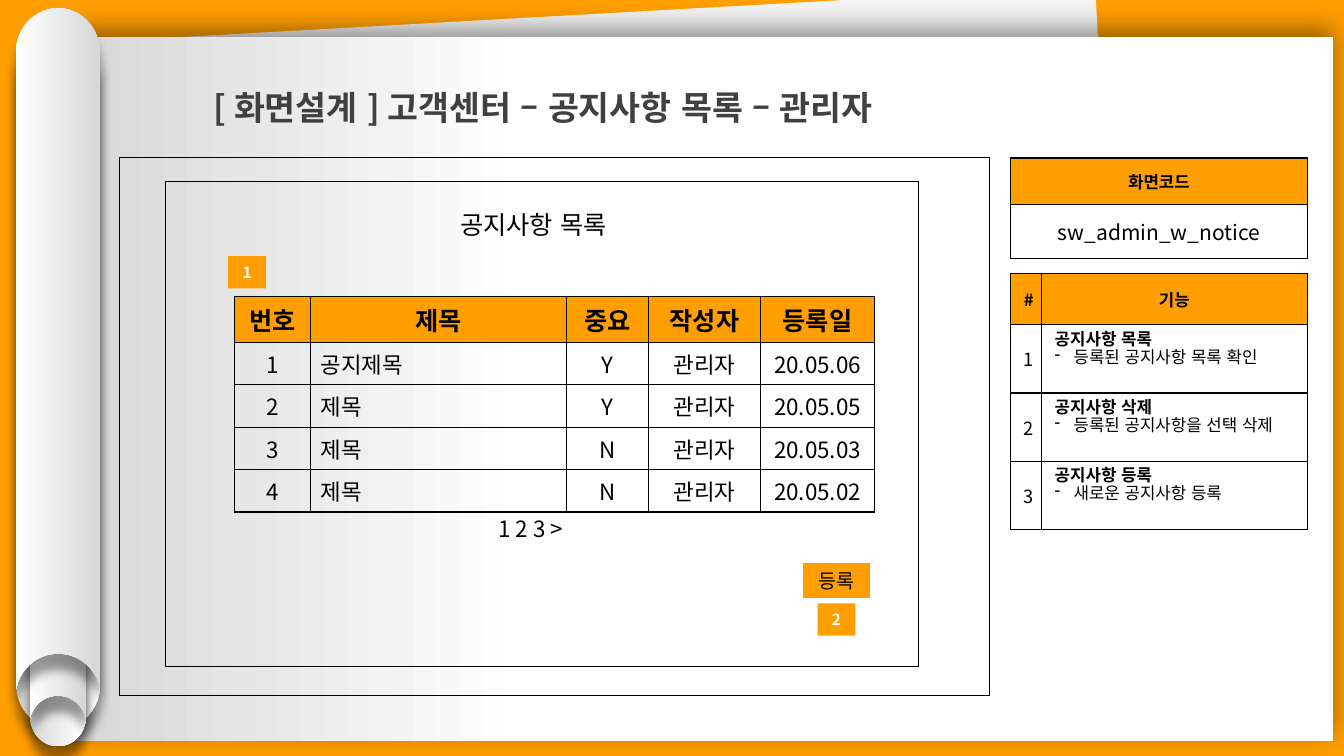
"""Builds the screen design slide for the administrator's notice list."""
from lxml import etree
from pptx import Presentation
from pptx.dml.color import RGBColor
from pptx.enum import lang, shapes, text
from pptx.oxml.ns import qn
from pptx.util import Pt

FONT = "Noto Sans CJK KR"
ORANGE = RGBColor(0xFF, 0x9E, 0x00)
BLACK = RGBColor(0x00, 0x00, 0x00)
WHITE = RGBColor(0xFF, 0xFF, 0xFF)
PAPER = RGBColor(0xF2, 0xF2, 0xF2)
SHADE = RGBColor(0xD7, 0xD7, 0xD7)
TITLE_GREY = RGBColor(0x40, 0x40, 0x40)
LEFT, CENTER = text.PP_ALIGN.LEFT, text.PP_ALIGN.CENTER
TOP, MIDDLE = text.MSO_ANCHOR.TOP, text.MSO_ANCHOR.MIDDLE


def write_text(paragraph, words, size=16, bold=False, color=BLACK, align=CENTER,
               spacing=None, bullet=None):
    """Write one formatted run into a paragraph."""
    paragraph.alignment = align
    if spacing:
        paragraph.line_spacing = spacing
    if bullet:
        properties = paragraph._p.get_or_add_pPr()
        properties.set("marL", str(Pt(13.5)))
        properties.set("indent", str(Pt(-13.5)))
        etree.SubElement(properties, qn("a:buChar"), char=bullet)
    run = paragraph.add_run()
    run.text = words
    run.font.name = FONT
    run.font.size = Pt(size)
    run.font.bold = bold
    run.font.color.rgb = color
    run.font.language_id = lang.MSO_LANGUAGE_ID.KOREAN
    etree.SubElement(run._r.get_or_add_rPr(), qn("a:ea"), typeface=FONT)


def add_shadow(shape, blur, distance, direction):
    """Give a shape a soft black shadow."""
    shape.shadow.inherit = False
    effects = shape._element.spPr.find(qn("a:effectLst"))
    shadow = etree.SubElement(
        effects, qn("a:outerShdw"), blurRad=str(Pt(blur)), dist=str(Pt(distance)),
        dir=str(direction * 60000), algn="ctr", rotWithShape="0")
    color = etree.SubElement(shadow, qn("a:srgbClr"), val="000000")
    etree.SubElement(color, qn("a:alpha"), val="40000")


def fill_gradient(shape, stops):
    """Fill a shape with two colours running from right to left."""
    shape.fill.gradient()
    shape.fill.gradient_angle = 180
    for stop, (position, color) in zip(shape.fill.gradient_stops, stops):
        stop.position = position
        stop.color.rgb = color


def add_rectangle(slide, box, fill=None, line=None, width=1):
    """Add a plain rectangle with an optional fill and outline."""
    shape = slide.shapes.add_shape(shapes.MSO_SHAPE.RECTANGLE, *map(Pt, box))
    shape.shadow.inherit = False
    if fill is None:
        shape.fill.background()
    else:
        shape.fill.solid()
        shape.fill.fore_color.rgb = fill
    if line is None:
        shape.line.fill.background()
    else:
        shape.line.color.rgb = line
        shape.line.width = Pt(width)
    return shape


def add_label(slide, box, words, line=None, **style):
    """Add an orange rectangle with centred text."""
    shape = add_rectangle(slide, box, ORANGE, line)
    shape.text_frame.vertical_anchor = MIDDLE
    write_text(shape.text_frame.paragraphs[0], words, **style)


def add_text_box(slide, box, words, **style):
    """Add a wrapping text box with one line."""
    frame = slide.shapes.add_textbox(*map(Pt, box)).text_frame
    frame.word_wrap = True
    write_text(frame.paragraphs[0], words, **style)


def bend_lines(shape, curve_starts):
    """Turn each run of three lines at the given places into one curve."""
    outline = next(shape._element.iter(qn("a:path")))
    lines = outline.findall(qn("a:lnTo"))
    for start in curve_starts:
        curve = etree.Element(qn("a:cubicBezTo"))
        lines[start].addprevious(curve)
        for line in lines[start:start + 3]:
            curve.append(line[0])
            outline.remove(line)


def add_roll(slide, left, top, width, height, rotation=0):
    """Add a paper roll with a domed end and a hollow end."""
    radius = width / 2
    center, bottom = left + radius, top + height
    dome = [(0.55, 0), (1, 0.47), (1, 1.05)]
    hollow = [(0.95, -0.17), (0.79, -0.57), (0.43, -0.83)]
    right = ([(x, top + y * radius) for x, y in dome] + [(1, bottom)]
             + [(x, bottom + y * radius) for x, y in hollow])
    mirrored = [(-x, y) for x, y in reversed(right)]
    profile = right + [(0, bottom - 0.83 * radius)] + mirrored + [(0, top)]
    builder = slide.shapes.build_freeform(Pt(center), Pt(top))
    builder.add_line_segments([(Pt(center + x * radius), Pt(y)) for x, y in profile])
    roll = builder.convert_to_shape()
    bend_lines(roll, (0, 5, 8, 13))
    outline = next(roll._element.iter(qn("a:path")))
    etree.SubElement(outline, qn("a:close"))
    roll.rotation = rotation
    roll.line.fill.background()
    fill_gradient(roll, [(0, SHADE), (1, WHITE)])
    add_shadow(roll, 7, 11, 90)


def format_cell(cell, fill, anchor, margins):
    """Set the borders, fill, anchor and margins of a cell."""
    properties = cell._tc.get_or_add_tcPr()
    for side in ("lnL", "lnR", "lnT", "lnB"):
        border = etree.SubElement(properties, qn("a:" + side), w=str(Pt(1)))
        color = etree.SubElement(border, qn("a:solidFill"))
        etree.SubElement(color, qn("a:srgbClr"), val=str(BLACK))
    if fill is None:
        cell.fill.background()
    else:
        cell.fill.solid()
        cell.fill.fore_color.rgb = fill
    cell.vertical_anchor = anchor
    cell.margin_left = cell.margin_right = Pt(margins[0])
    cell.margin_top = cell.margin_bottom = Pt(margins[1])


def add_grid(slide, left, top, widths, heights, rows, header_size, body_size,
             margins=(7.2, 3.6), left_column=None):
    """Add a table; a tuple in a cell holds a heading and its list item."""
    table = slide.shapes.add_table(len(heights), len(widths), Pt(left), Pt(top),
                                   Pt(sum(widths)), Pt(sum(heights))).table
    table.first_row = table.horz_banding = False
    for column, width in zip(table.columns, widths):
        column.width = Pt(width)
    for row_index, (height, row) in enumerate(zip(heights, rows)):
        table.rows[row_index].height = Pt(height)
        header = row_index == 0
        for column_index, content in enumerate(row):
            cell = table.cell(row_index, column_index)
            detailed = isinstance(content, tuple)
            format_cell(cell, ORANGE if header else None,
                        TOP if detailed else MIDDLE, margins)
            first = cell.text_frame.paragraphs[0]
            if detailed:
                style = {"size": 12, "align": LEFT, "spacing": Pt(13)}
                write_text(first, content[0], bold=True, **style)
                write_text(cell.text_frame.add_paragraph(), content[1], bullet="-", **style)
            else:
                aside = column_index == left_column and not header
                write_text(first, content, size=header_size if header else body_size,
                           bold=header, align=LEFT if aside else CENTER)


def add_paper(slide):
    """Add the back sheet, the front sheet and the rolled edge."""
    add_rectangle(slide, (65.5, 10, 731, 489.5), PAPER).rotation = 356.8
    sheet = add_rectangle(slide, (52.5, 26.3, 900, 503))
    fill_gradient(sheet, [(0.64, WHITE), (1, SHADE)])
    add_shadow(sheet, 18, 6, 270)
    add_roll(slide, 11.5, 34.5, 60, 486, rotation=180)
    add_roll(slide, 21.3, 207.5, 40, 325.5, rotation=180)
    add_roll(slide, 21.3, 188, 40, 325.5)
    add_roll(slide, 11.5, 5.8, 60, 486)


def set_title(slide, box, words):
    """Place the title placeholder in front of the paper."""
    title = slide.shapes.title
    title.left, title.top, title.width, title.height = map(Pt, box)
    title.text_frame.auto_size = text.MSO_AUTO_SIZE.NONE
    title.text_frame.vertical_anchor = TOP
    write_text(title.text_frame.paragraphs[0], words, size=24, bold=True,
               color=TITLE_GREY, align=LEFT, spacing=1.5)
    slide.shapes._spTree.append(title._element)


def main():
    """Build and save the slide."""
    presentation = Presentation()
    presentation.slide_width, presentation.slide_height = Pt(960), Pt(540)
    slide = presentation.slides.add_slide(presentation.slide_layouts[5])
    slide.background.fill.solid()
    slide.background.fill.fore_color.rgb = ORANGE
    add_paper(slide)
    wide = (9.4, 5)
    add_grid(slide, 722, 112.8, [211.7], [33, 39], [["화면코드"], ["sw_admin_w_notice"]],
             12, 15, wide)
    add_rectangle(slide, (85.2, 112.8, 621.5, 384), line=BLACK, width=0.75)
    add_text_box(slide, (138, 146.2, 486, 34), "공지사항 목록", size=18)
    notices = [["번호", "제목", "중요", "작성자", "등록일"],
               ["1", "공지제목", "Y", "관리자", "20.05.06"],
               ["2", "제목", "Y", "관리자", "20.05.05"],
               ["3", "제목", "N", "관리자", "20.05.03"],
               ["4", "제목", "N", "관리자", "20.05.02"]]
    add_grid(slide, 167.3, 211.6, [54.5, 183, 58.5, 80, 81.4], [33] + [30.3] * 4, notices,
             18, 16, left_column=1)
    add_label(slide, (574, 402.5, 47, 24), "등록", line=ORANGE, size=14)
    for number, left, top in (("1", 163, 183), ("2", 584, 431)):
        add_label(slide, (left, top, 27, 23), number, size=11, bold=True, color=WHITE)
    features = [["#", "기능"], ["1", ("공지사항 목록", "등록된 공지사항 목록 확인")],
                ["2", ("공지사항 삭제", "등록된 공지사항을 선택 삭제")],
                ["3", ("공지사항 등록", "새로운 공지사항 등록")]]
    add_grid(slide, 722, 195.4, [22, 189.7], [36.6] + [48.8] * 3, features, 12, 13, wide)
    add_rectangle(slide, (118, 129.5, 538, 346.5), line=BLACK)
    add_text_box(slide, (349, 364.5, 201, 26.5), "1 2 3 >", align=LEFT)
    set_title(slide, (145.5, 44, 692, 47.5), "[ 화면설계 ] 고객센터 – 공지사항 목록 – 관리자")
    presentation.save("out.pptx")


if __name__ == "__main__":
    main()
